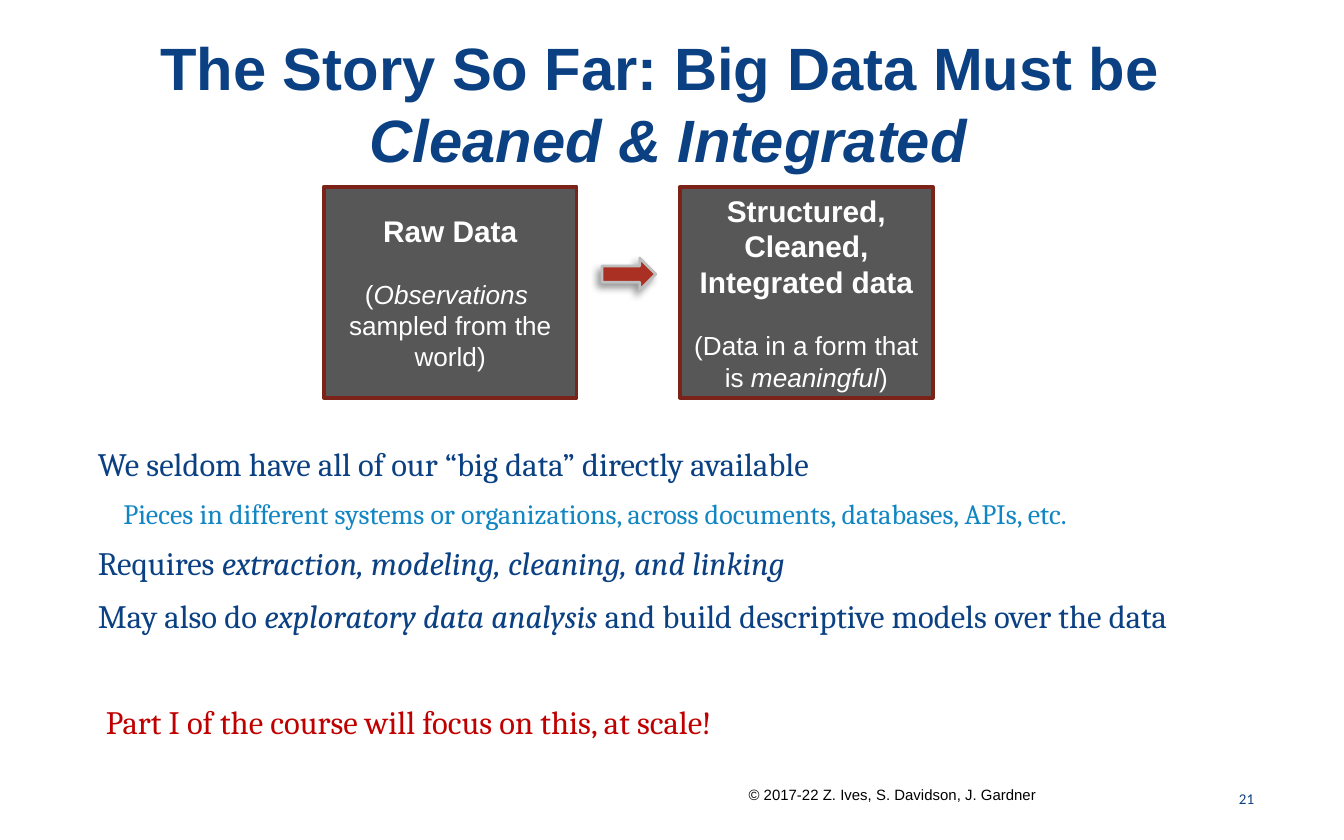
import dataclasses
import typing

import lxml.etree
import pptx
import pptx.dml.color
import pptx.enum.shapes
import pptx.enum.text
import pptx.oxml.ns
import pptx.util

Inches = pptx.util.Inches
Pt = pptx.util.Pt
Align = pptx.enum.text.PP_ALIGN
Anchor = pptx.enum.text.MSO_ANCHOR
Kind = pptx.enum.shapes.MSO_SHAPE
Area = tuple[float, float, float, float]

NAVY = "0B4183"
BLUE = "1186C3"
RED = "C00000"
WHITE = "FFFFFF"
BREAK = "\v"


@dataclasses.dataclass
class Line:
    spans: list[str]
    size: float
    color: str = NAVY
    bold: bool = False
    indent: float = 0
    before: float = 0
    level: int = 0


@dataclasses.dataclass
class Card:
    left: float
    head: str
    spans: list[str]


def paint(hue: str) -> pptx.dml.color.RGBColor:
    return pptx.dml.color.RGBColor.from_string(hue)


def write(shape: typing.Any, lines: list[Line], font: str, align: Align,
          anchor: Anchor = Anchor.MIDDLE, pad: float = 0.05) -> None:
    frame = shape.text_frame
    frame.word_wrap = True
    frame.vertical_anchor = anchor
    frame.margin_left = frame.margin_right = Inches(0.1)
    frame.margin_top = frame.margin_bottom = Inches(pad)
    frame.text = "\n".join("" for _ in lines)
    for para, line in zip(frame.paragraphs, lines):
        para.alignment = align
        para.level = line.level
        para.space_before = Pt(line.before)
        props = para._p.get_or_add_pPr()
        props.set("marL", str(Inches(line.indent)))
        props.set("indent", "0")
        for index, span in enumerate(line.spans):
            run = para.add_run()
            run.text = span.rstrip(BREAK)
            if span.endswith(BREAK):
                para.add_line_break()
            run.font.name = font
            run.font.size = Pt(line.size)
            run.font.bold = line.bold
            run.font.italic = index % 2 == 1
            run.font.color.rgb = paint(line.color)


def add_text(slide: typing.Any, area: Area, lines: list[Line], font: str,
             align: Align, anchor: Anchor = Anchor.MIDDLE,
             pad: float = 0.05) -> None:
    box = slide.shapes.add_textbox(*map(Inches, area))
    write(box, lines, font, align, anchor, pad)


def add_shape(slide: typing.Any, kind: Kind, area: Area, fill: str,
              edge: str, width: float) -> typing.Any:
    shape = slide.shapes.add_shape(kind, *map(Inches, area))
    shape.shadow.inherit = False
    shape.fill.solid()
    shape.fill.fore_color.rgb = paint(fill)
    shape.line.color.rgb = paint(edge)
    shape.line.width = Pt(width)
    return shape


def add_card(slide: typing.Any, card: Card) -> None:
    area = (card.left, 1.39, 1.88, 1.57)
    shape = add_shape(slide, Kind.RECTANGLE, area, "575757", "7B2319", 2)
    lines = [Line([card.head], 16, WHITE, bold=True),
             Line(card.spans, 14, WHITE, before=16)]
    write(shape, lines, "Arial", Align.CENTER)


def cast(shape: typing.Any) -> None:
    name = pptx.oxml.ns.qn
    effects = shape._element.spPr.find(name("a:effectLst"))
    outer = lxml.etree.SubElement(
        effects, name("a:outerShdw"), blurRad=str(Pt(4)), dist=str(Pt(3)),
        dir=str(135 * 60000), rotWithShape="0")
    hue = lxml.etree.SubElement(outer, name("a:srgbClr"), val="000000")
    lxml.etree.SubElement(hue, name("a:alpha"), val="40000")


TITLE = [Line(["The Story So Far: Big Data Must be " + BREAK,
               "Cleaned & Integrated"], 32, bold=True)]
BODY = [
    Line(["We seldom have all of our “big data” directly available"],
         17.5, indent=0.12),
    Line(["Pieces in different systems or organizations, across documents, "
          "databases, APIs, etc."], 15, BLUE, indent=0.31, before=6.8, level=1),
    Line(["Requires ", "extraction, modeling, cleaning, and linking"],
         17.5, indent=0.12, before=7.2),
    Line(["May also do ", "exploratory data analysis",
          " and build descriptive models over the data"],
         17.5, indent=0.12, before=7.2),
    Line(["Part I of the course will focus on this, at scale!"],
         17.5, RED, indent=0.18, before=36),
]
CARDS = [
    Card(2.41, "Raw Data",
         ["(", "Observations " + BREAK, "sampled from the world)"]),
    Card(5.06, "Structured, Cleaned, Integrated data",
         ["(Data in a form that is ", "meaningful", ")"]),
]


def main() -> None:
    deck = pptx.Presentation()
    deck.slide_width = Inches(10)
    deck.slide_height = Inches(6.25)
    slide = deck.slides.add_slide(deck.slide_layouts[6])
    credit = [Line(["© 2017-22 Z. Ives, S. Davidson, J. Gardner"], 8, "000000")]
    add_text(slide, (4.79, 5.8, 3.02, 0.23), credit, "Arial", Align.RIGHT,
             Anchor.BOTTOM)
    add_text(slide, (0.51, 0.17, 8.93, 1.19), TITLE, "Arial", Align.CENTER,
             pad=0.1)
    add_text(slide, (0.51, 3.12, 9.33, 2.58), BODY, "Cambria", Align.LEFT,
             pad=0.1)
    add_text(slide, (8.98, 5.78, 0.45, 0.33), [Line(["21"], 8)], "Calibri",
             Align.RIGHT)
    for card in CARDS:
        add_card(slide, card)
    arrow = add_shape(slide, Kind.RIGHT_ARROW, (4.48, 1.92, 0.4, 0.24),
                      "A93023", "BFBFBF", 1.5)
    cast(arrow)
    deck.save("out.pptx")


if __name__ == "__main__":
    main()
